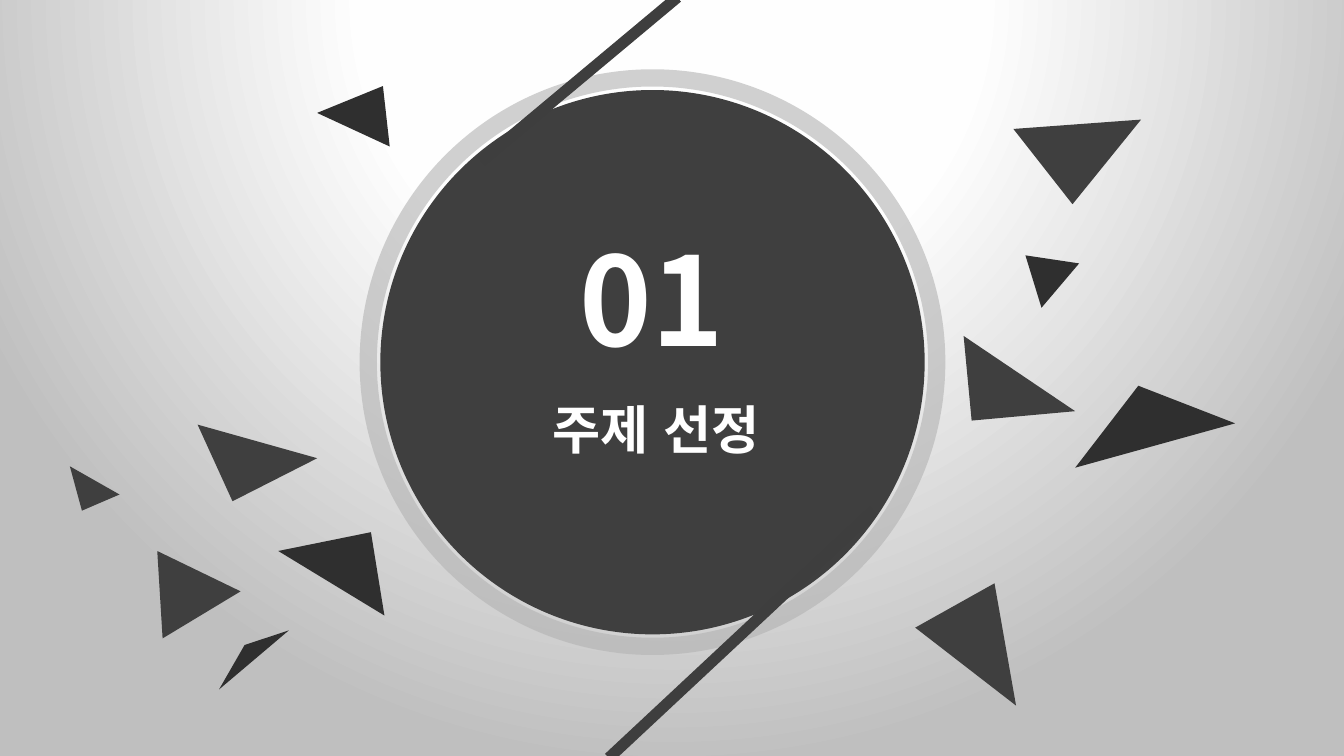
from dataclasses import dataclass

from lxml import etree
from pptx import Presentation
from pptx.dml.color import RGBColor
from pptx.enum.lang import MSO_LANGUAGE_ID
from pptx.enum.shapes import MSO_CONNECTOR, MSO_SHAPE
from pptx.enum.text import MSO_ANCHOR, MSO_AUTO_SIZE, PP_ALIGN
from pptx.oxml import parse_xml
from pptx.oxml.ns import nsdecls, qn
from pptx.util import Inches, Pt

OVAL = MSO_SHAPE.OVAL
LINE = MSO_CONNECTOR.STRAIGHT
TOP = MSO_ANCHOR.TOP
CENTER = PP_ALIGN.CENTER
LEFT = PP_ALIGN.LEFT
NO_FIT = MSO_AUTO_SIZE.NONE
KOREAN = MSO_LANGUAGE_ID.KOREAN
FONT = "Noto Sans CJK SC"
GREY, DARK, EDGE, WHITE = "3F3F3F", "2F2F2F", "3E3E3E", "FFFFFF"
STOPS = [(0, "FFFFFF"), (40, "FEFEFE"), (100, "BFBFBF")]


@dataclass
class Shard:
    """A filled triangle-like outline, in inches."""
    fill: str
    points: list[tuple[float, float]]


@dataclass
class Label:
    """A line of bold white text."""
    text: str
    size: int
    align: int
    wrap: bool
    space: float


@dataclass
class Stroke:
    """A thick line between two points."""
    start: tuple[float, float]
    end: tuple[float, float]


SHARDS = [
    Shard(GREY, [(1.47, 3.16), (2.36, 3.41), (1.73, 3.73)]),
    Shard(DARK, [(2.86, 4.58), (2.07, 4.1), (2.76, 3.96)]),
    Shard(GREY, [(1.17, 4.1), (1.79, 4.4), (1.21, 4.75)]),
    Shard(GREY, [(0.52, 3.47), (0.61, 3.8), (0.89, 3.68)]),
    Shard(DARK, [(1.82, 4.8), (1.63, 5.13), (2.15, 4.69)]),
    Shard(DARK, [(2.85, 0.64), (2.9, 1.09), (2.36, 0.84)]),
    Shard(GREY, [(7.54, 0.96), (8.49, 0.89), (7.98, 1.52)]),
    Shard(DARK, [(7.63, 1.9), (8.03, 1.96), (7.75, 2.29)]),
    Shard(GREY, [(7.17, 2.5), (7.23, 3.13), (8, 3.06)]),
    Shard(DARK, [(8.47, 2.87), (8, 3.48), (9.19, 3.15), (8.52, 2.89)]),
    Shard(GREY, [(6.81, 4.67), (7.4, 4.34), (7.56, 5.25)]),
]
STROKES = [
    Stroke((5.04, -0.02), (3.58, 1.2)),
    Stroke((6.5, 3.8), (4.53, 5.64)),
]


def paint(part, color: str) -> None:
    """Give a fill a solid colour."""
    part.solid()
    part.fore_color.rgb = RGBColor.from_string(color)


def set_back(slide) -> None:
    """Fill the background with a round gradient centred above the slide."""
    stops = "".join(
        f'<a:gs pos="{pos * 1000}"><a:srgbClr val="{color}"/></a:gs>'
        for pos, color in STOPS)
    grad = parse_xml(
        f'<a:gradFill {nsdecls("a")} rotWithShape="1"><a:gsLst>{stops}</a:gsLst>'
        '<a:path path="circle"><a:fillToRect l="50000" t="-80000" r="50000" '
        'b="180000"/></a:path></a:gradFill>')
    paint(slide.background.fill, WHITE)
    solid = slide.element.find(".//" + qn("p:bgPr")).find(qn("a:solidFill"))
    solid.getparent().replace(solid, grad)


def add_disc(slide, left: float, top: float, size: float):
    """Add a bare circle."""
    disc = slide.shapes.add_shape(
        OVAL, Inches(left), Inches(top), Inches(size), Inches(size))
    disc.shadow.inherit = False
    return disc


def add_shard(slide, shard: Shard) -> None:
    """Draw one shard."""
    first, *rest = [(Inches(x), Inches(y)) for x, y in shard.points]
    pen = slide.shapes.build_freeform(*first)
    pen.add_line_segments(rest, close=True)
    shape = pen.convert_to_shape()
    shape.shadow.inherit = False
    paint(shape.fill, shard.fill)
    shape.line.fill.background()


def add_stroke(slide, stroke: Stroke) -> None:
    """Draw one thick line."""
    ends = [Inches(v) for v in (*stroke.start, *stroke.end)]
    line = slide.shapes.add_connector(LINE, *ends)
    paint(line.line.fill, EDGE)
    line.line.width = Pt(6)
    etree.SubElement(line._element.spPr, qn("a:effectLst"))


def write(shape, label: Label) -> None:
    """Write a label into a shape."""
    frame = shape.text_frame
    frame.auto_size = NO_FIT
    frame.word_wrap = label.wrap
    frame.vertical_anchor = TOP
    para = frame.paragraphs[0]
    para.alignment = label.align
    para.line_spacing = label.space
    run = para.add_run()
    run.text = label.text
    run.font.size = Pt(label.size)
    run.font.bold = True
    run.font.name = FONT
    run.font.language_id = KOREAN
    paint(run.font.fill, WHITE)
    run.font._element.set("kern", "0")
    etree.SubElement(run.font._element, qn("a:ea"), typeface=FONT)


def main() -> None:
    """Build the section slide."""
    deck = Presentation()
    deck.slide_width = Inches(10)
    deck.slide_height = deck.slide_width * 9 // 16
    slide = deck.slides.add_slide(deck.slide_layouts[5])
    set_back(slide)

    disc = add_disc(slide, 2.83, 0.67, 4.05)
    paint(disc.fill, GREY)
    disc.line.fill.background()
    ring = add_disc(slide, 2.74, 0.58, 4.23)
    ring.fill.background()
    paint(ring.line.fill, "B2B2B2")
    ring.line.width = Pt(9.25)
    tint = ring.line._ln.find(".//" + qn("a:srgbClr"))
    etree.SubElement(tint, qn("a:alpha"), val="60000")

    for shard in SHARDS:
        add_shard(slide, shard)

    title = slide.shapes.title
    title.left, title.top = Inches(3.74), Inches(2.81)
    title.width, title.height = Inches(2.28), Inches(0.65)
    write(title, Label("주제 선정", 28, CENTER, True, 1.2))
    slide.shapes._spTree.append(title._element)
    count = slide.shapes.add_textbox(
        Inches(4.21), Inches(1.61), Inches(1.35), Inches(1.2))
    write(count, Label("01", 66, LEFT, False, 1.0))

    for stroke in STROKES:
        add_stroke(slide, stroke)
    deck.save("out.pptx")


if __name__ == "__main__":
    main()
